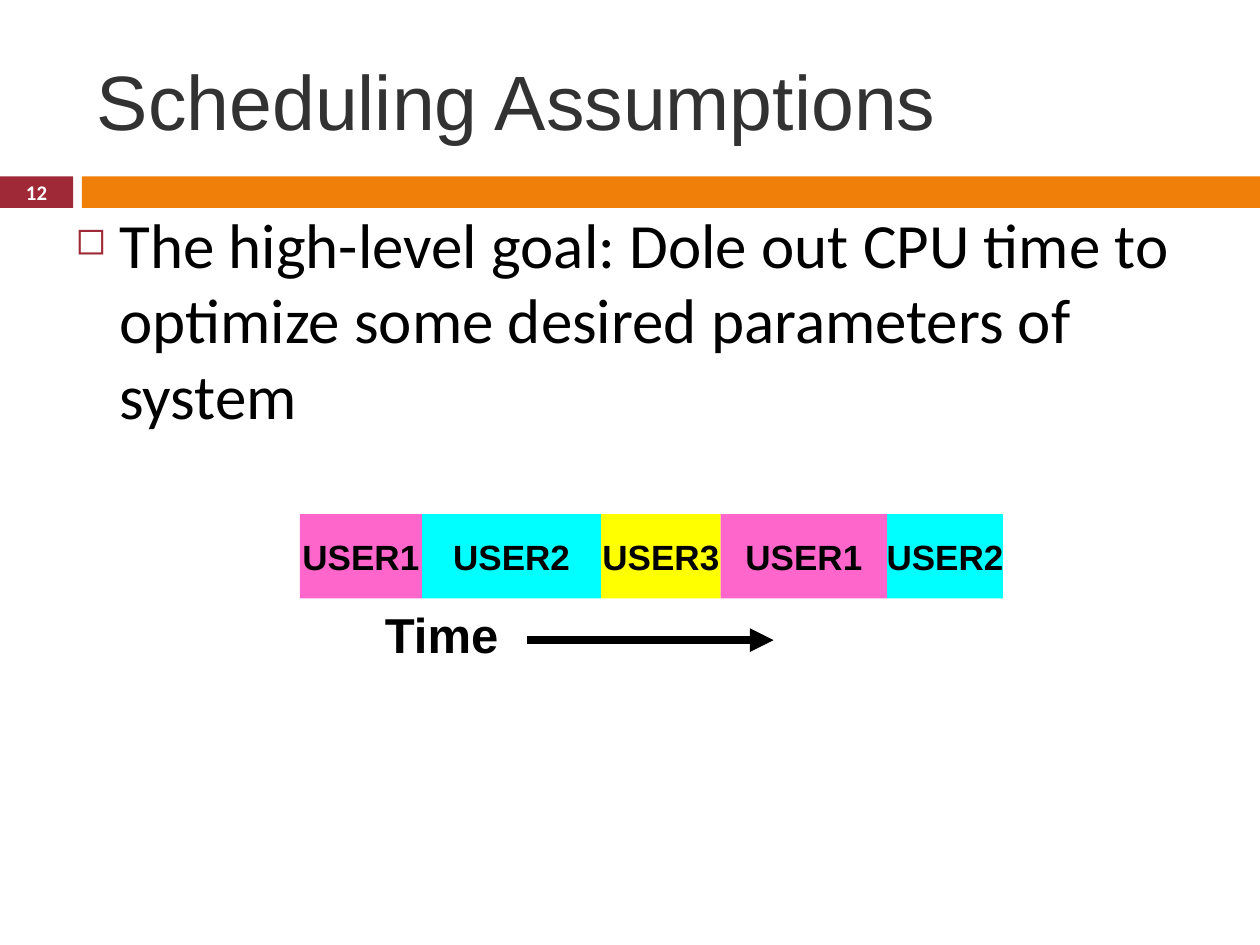
from lxml.etree import SubElement
from pptx import Presentation
from pptx.dml.color import RGBColor
from pptx.enum.shapes import MSO_CONNECTOR, MSO_SHAPE
from pptx.enum.text import MSO_ANCHOR, PP_ALIGN
from pptx.oxml.ns import qn
from pptx.util import Inches, Pt

BLACK = RGBColor(0x00, 0x00, 0x00)
WHITE = RGBColor(0xFF, 0xFF, 0xFF)
GRAY = RGBColor(0x32, 0x32, 0x32)
RED = RGBColor(0x9F, 0x29, 0x36)
ORANGE = RGBColor(0xF0, 0x7F, 0x09)
PINK = RGBColor(0xFF, 0x66, 0xCC)
CYAN = RGBColor(0x00, 0xFF, 0xFF)
YELLOW = RGBColor(0xFF, 0xFF, 0x00)


def set_text(sp, text, size, color, font="Arial", bold=False,
             align=PP_ALIGN.LEFT, anchor=MSO_ANCHOR.MIDDLE, wrap=True):
    tf = sp.text_frame
    tf.text = text
    tf.word_wrap = wrap
    tf.vertical_anchor = anchor
    p = tf.paragraphs[0]
    p.alignment = align
    f = p.runs[0].font
    f.name, f.size, f.bold = font, Pt(size), bold
    f.color.rgb = color
    return p


def add_text(s, x, y, w, h, *args, **kwargs):
    sp = s.shapes.add_textbox(Inches(x), Inches(y), Inches(w), Inches(h))
    return set_text(sp, *args, **kwargs)


def add_rect(s, x, y, w, h, fill):
    sp = s.shapes.add_shape(MSO_SHAPE.RECTANGLE, Inches(x), Inches(y),
                            Inches(w), Inches(h))
    sp.shadow.inherit = False
    sp.fill.solid()
    sp.fill.fore_color.rgb = fill
    sp.line.fill.background()
    return sp


def add_arrow(s, x1, x2, y, width):
    cn = s.shapes.add_connector(MSO_CONNECTOR.STRAIGHT, Inches(x1), Inches(y),
                                Inches(x2), Inches(y))
    cn.line.color.rgb = BLACK
    cn.line.width = Pt(width)
    SubElement(cn.line._get_or_add_ln(), qn("a:tailEnd"), type="triangle")
    SubElement(cn._element.spPr, qn("a:effectLst"))


def add_header(s, x, y, w, title, number):
    """Title above a divider bar with the slide number at its left end."""
    bar_y, tab_w, gap = y + 1.4, 0.58, 0.07
    add_rect(s, x + tab_w + gap, bar_y, w - tab_w - gap, 0.25, ORANGE)
    tab = add_rect(s, x, bar_y, tab_w, 0.25, RED)
    set_text(tab, number, 11.9, WHITE, "Calibri", True, PP_ALIGN.CENTER)
    add_text(s, x + 0.67, y + 0.25, 8.92, 1.08, title, 44, GRAY)


def add_goal(s, x, y, w, h, text):
    """Body paragraph with a hollow square bullet."""
    p = add_text(s, x, y, w, h, text, 36, BLACK, "Calibri",
                 anchor=MSO_ANCHOR.TOP)
    p.space_before = Pt(7)
    pPr = p._p.get_or_add_pPr()
    pPr.set("marL", str(Inches(0.35)))
    pPr.set("indent", str(-Inches(0.35)))
    color = SubElement(pPr, qn("a:buClr"))
    SubElement(color, qn("a:srgbClr"), val=str(RED))
    SubElement(pPr, qn("a:buSzPct"), val="60000")
    SubElement(pPr, qn("a:buChar"), char="\u25fb")


def add_timeline(s, x, y, slots):
    """Row of CPU slots laid end to end, with a time arrow below."""
    h, left = 0.67, x
    for user, w, fill in slots:
        sp = add_rect(s, left, y, w, h, fill)
        set_text(sp, user, 20, BLACK, bold=True, align=PP_ALIGN.CENTER,
                 wrap=False)
        left += w
    add_text(s, x + 0.57, y + h, 1.11, 0.49, "Time", 28, BLACK, bold=True,
             align=PP_ALIGN.CENTER, anchor=MSO_ANCHOR.TOP, wrap=False)
    add_arrow(s, x + 1.8, x + 3.76, y + 1, 4.5)


prs = Presentation()
prs.slide_width, prs.slide_height = Inches(10), Inches(7.5)
s = prs.slides.add_slide(prs.slide_layouts[6])

add_header(s, 0, 0, 10, "Scheduling Assumptions", "12")
add_goal(s, 0.5, 1.58, 9.5, 2.1,
         "The high-level goal: Dole out CPU time to optimize some desired "
         "parameters of system")
add_timeline(s, 2.38, 4.08, [
    ("USER1", 0.97, PINK),
    ("USER2", 1.42, CYAN),
    ("USER3", 0.95, YELLOW),
    ("USER1", 1.32, PINK),
    ("USER2", 0.92, CYAN),
])

prs.save("out.pptx")
